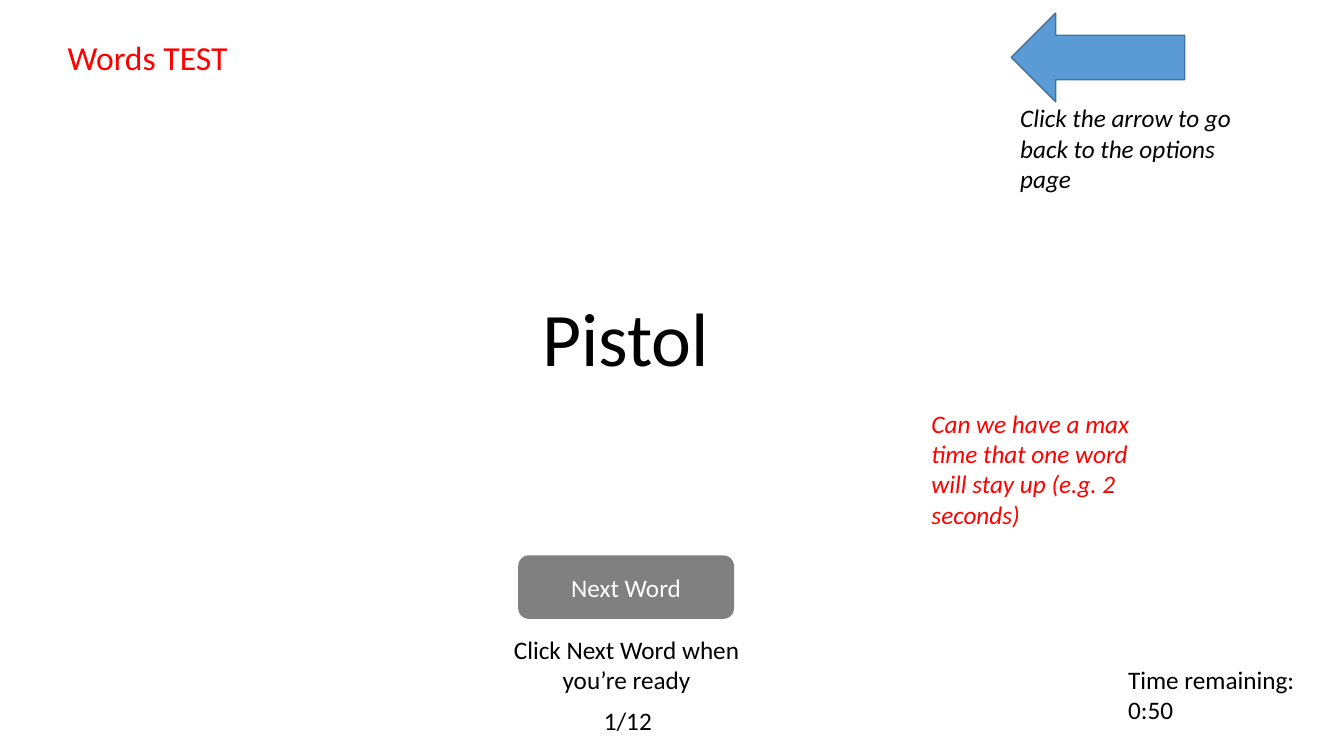
from dataclasses import dataclass

from pptx import Presentation
from pptx.dml.color import RGBColor
from pptx.enum.shapes import MSO_SHAPE
from pptx.enum.text import MSO_ANCHOR, MSO_AUTO_SIZE, PP_ALIGN
from pptx.util import Emu, Pt

PX = 9144


@dataclass(frozen=True)
class Theme:
    font: str = "Calibri"
    ink: str = "000000"
    alert: str = "FF0000"
    light: str = "FFFFFF"
    button: str = "808080"
    arrow: str = "5B9BD5"
    arrow_edge: str = "43739E"
    body: int = 18
    title: int = 24
    word: int = 54


THEME = Theme()


def rgb(color):
    return RGBColor.from_string(color)


def px(*lengths):
    return [Emu(length * PX) for length in lengths]


def write(frame, text, color=THEME.ink, size=THEME.body, italic=False,
          align=PP_ALIGN.LEFT, anchor=MSO_ANCHOR.TOP):
    frame.word_wrap = True
    frame.auto_size = MSO_AUTO_SIZE.NONE
    frame.vertical_anchor = anchor
    frame.text = text
    for paragraph in frame.paragraphs:
        paragraph.alignment = align
        font = paragraph.font
        font.name = THEME.font
        font.size = Pt(size)
        font.italic = italic
        font.color.rgb = rgb(color)


def place_title(page, bounds, text):
    title = page.shapes.title
    title.left, title.top, title.width, title.height = px(*bounds)
    write(title.text_frame, text, THEME.alert, THEME.title)


def add_text(page, bounds, text, **style):
    box = page.shapes.add_textbox(*px(*bounds))
    write(box.text_frame, text, **style)


def add_block(page, preset, bounds, fill, edge=None):
    block = page.shapes.add_shape(preset, *px(*bounds))
    block.shadow.inherit = False
    block.fill.solid()
    block.fill.fore_color.rgb = rgb(fill)
    if edge:
        block.line.color.rgb = rgb(edge)
        block.line.width = Pt(1)
    else:
        block.line.fill.background()
    return block


def add_button(page, bounds, label):
    button = add_block(page, MSO_SHAPE.ROUNDED_RECTANGLE, bounds, THEME.button)
    write(button.text_frame, label, THEME.light,
          align=PP_ALIGN.CENTER, anchor=MSO_ANCHOR.MIDDLE)


def main():
    deck = Presentation()
    deck.slide_width, deck.slide_height = px(1333, 750)
    page = deck.slides.add_slide(deck.slide_layouts[5])

    place_title(page, (57, 32, 310, 50), "Words TEST")
    add_text(page, (528, 284, 311, 101), "Pistol", size=THEME.word)
    add_text(page, (488, 624, 267, 71), "Click Next Word when you’re ready",
             align=PP_ALIGN.CENTER)
    add_button(page, (514, 551, 214, 63), "Next Word")
    add_block(page, MSO_SHAPE.LEFT_ARROW, (1003, 13, 172, 88),
              THEME.arrow, THEME.arrow_edge)
    add_text(page, (1002, 97, 233, 101),
             "Click the arrow to go back to the options page", italic=True)
    add_text(page, (914, 400, 216, 131),
             "Can we have a max time that one word will stay up (e.g. 2 seconds)",
             color=THEME.alert, italic=True)
    add_text(page, (589, 695, 73, 40), "1/12")
    add_text(page, (1109, 654, 224, 71), "Time remaining:\n0:50")

    deck.save("out.pptx")


if __name__ == "__main__":
    main()
